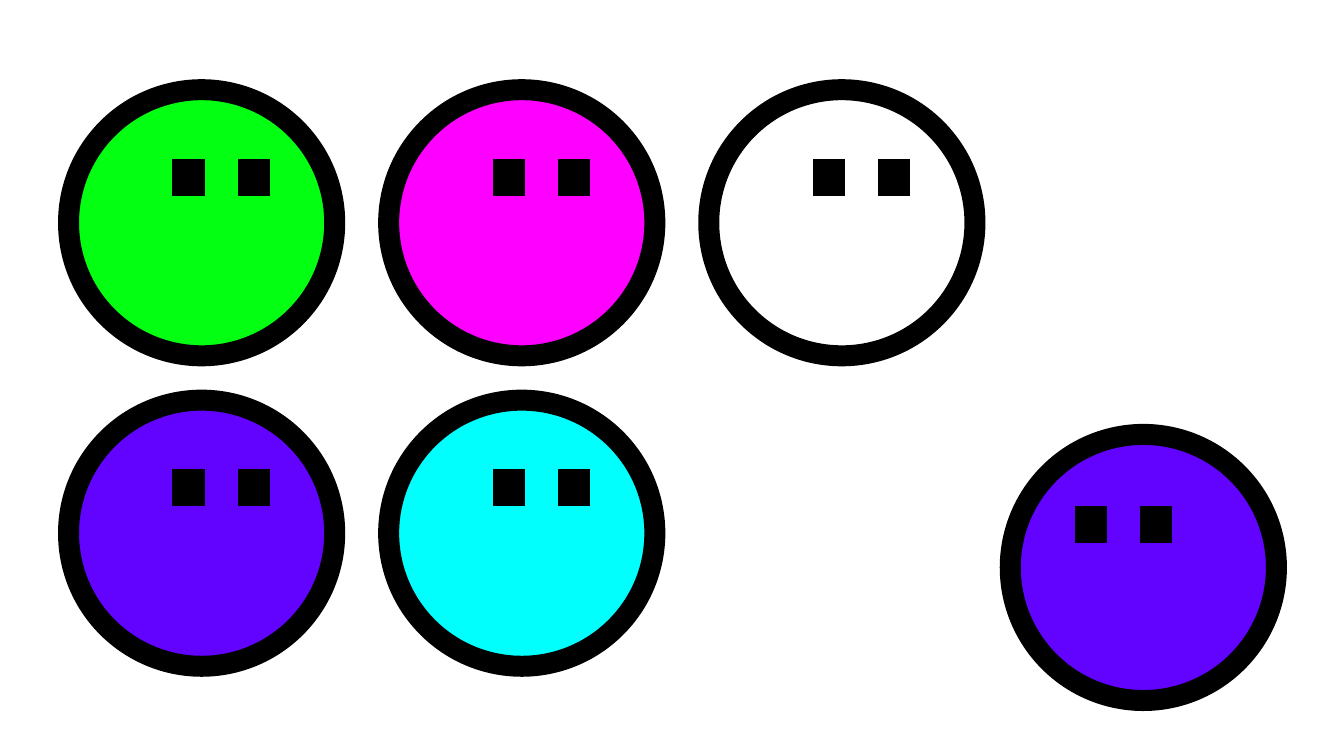
"""Build a slide of round coloured faces with square eyes."""
from dataclasses import dataclass

from lxml import etree
from pptx import Presentation
from pptx.dml.color import RGBColor
from pptx.enum import shapes
from pptx.oxml import ns
from pptx.shapes.autoshape import Shape
from pptx.shapes.group import GroupShape
from pptx.slide import Slide
from pptx.util import Inches, Pt


@dataclass(frozen=True)
class Theme:
    outline: str = "000000"
    green: str = "03FF11"
    magenta: str = "FE00FF"
    white: str = "FFFFFF"
    violet: str = "6203FF"
    cyan: str = "00FFFD"
    line_width: float = 15


@dataclass(frozen=True)
class Face:
    left: float
    top: float
    color: str
    eye_dx: float = 1.135
    eye_dy: float = 0.79


THEME = Theme()
DIAMETER = 2.64
EYE_WIDTH, EYE_HEIGHT, EYE_STEP = 0.11, 0.16, 0.645
GRID_LEFT, GRID_TOP = 0.68, 0.89
COLUMN_STEP, ROW_STEP = 3.175, 3.08
GRID_COLORS = (
    (THEME.green, THEME.magenta, THEME.white),
    (THEME.violet, THEME.cyan),
)
FACES = [
    Face(GRID_LEFT + col * COLUMN_STEP, GRID_TOP + row * ROW_STEP, color)
    for row, colors in enumerate(GRID_COLORS)
    for col, color in enumerate(colors)
] + [Face(10.02, 4.31, THEME.violet, eye_dx=0.75, eye_dy=0.81)]


def add_part(group: GroupShape, kind: shapes.MSO_SHAPE, left: float, top: float,
             width: float, height: float, color: str) -> Shape:
    """Add one filled shape with a thick, sharp-cornered outline."""
    sp = group.shapes.add_shape(kind, Inches(left), Inches(top),
                                Inches(width), Inches(height))
    sp.shadow.inherit = False
    sp.fill.solid()
    sp.fill.fore_color.rgb = RGBColor.from_string(color)
    sp.line.color.rgb = RGBColor.from_string(THEME.outline)
    sp.line.width = Pt(THEME.line_width)
    ln = sp.element.spPr.find(ns.qn("a:ln"))
    etree.SubElement(ln, ns.qn("a:miter"), lim="800000")
    return sp


def add_face(slide: Slide, face: Face) -> None:
    """Add a grouped face made of a head and two eyes."""
    group = slide.shapes.add_group_shape()
    add_part(group, shapes.MSO_SHAPE.OVAL, face.left, face.top,
             DIAMETER, DIAMETER, face.color)
    for eye in range(2):
        add_part(group, shapes.MSO_SHAPE.RECTANGLE,
                 face.left + face.eye_dx + eye * EYE_STEP,
                 face.top + face.eye_dy, EYE_WIDTH, EYE_HEIGHT, face.color)


def main() -> None:
    """Create and save the presentation."""
    prs = Presentation()
    prs.slide_width, prs.slide_height = Inches(13.33), Inches(7.5)
    slide = prs.slides.add_slide(prs.slide_layouts[6])
    for face in FACES:
        add_face(slide, face)
    prs.save("out.pptx")


if __name__ == "__main__":
    main()
